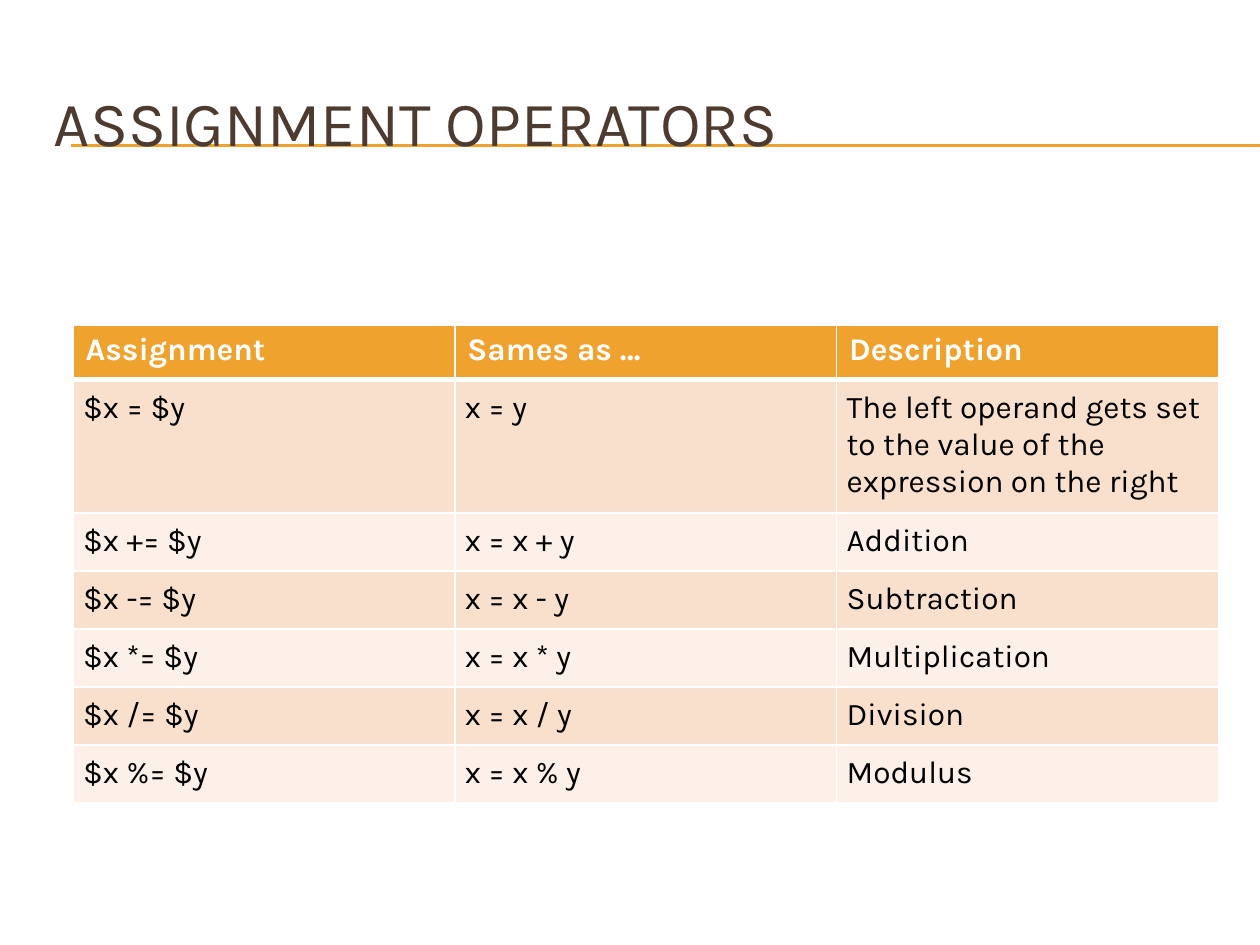
import pptx
import pptx.dml.color
import pptx.enum.shapes
import pptx.enum.text
import pptx.oxml
import pptx.oxml.ns
import pptx.util
from pptx.util import Inches

ORANGE, BROWN, WHITE, BLACK = "F0A22E", "4E3B30", "FFFFFF", "000000"
BANDS = ("F9E0CD", "FCF0E8")

HEADINGS = ("Assignment", "Sames as …", "Description")
OPERATORS = (
    ("$x = $y", "x = y",
     "The left operand gets set to the value of the expression on the right"),
    ("$x += $y", "x = x + y", "Addition"),
    ("$x -= $y", "x = x - y", "Subtraction"),
    ("$x *= $y", "x = x * y", "Multiplication"),
    ("$x /= $y", "x = x / y", "Division"),
    ("$x %= $y", "x = x % y", "Modulus"),
)
ROW_HEIGHTS = (0.43, 1.05) + (0.46,) * 5


def color(value):
    return pptx.dml.color.RGBColor.from_string(value)


def set_attributes(target, values):
    for name, value in values.items():
        setattr(target, name, value)


class SlideBuilder:
    font_name = "Karla"

    def __init__(self, slide):
        self.slide = slide

    def add_text(self, text_frame, text, size, text_color, bold=False):
        run = text_frame.paragraphs[0].add_run()
        run.text = text
        set_attributes(run.font, {"name": self.font_name, "bold": bold,
                                  "size": pptx.util.Pt(size)})
        run.font.color.rgb = color(text_color)

    def line(self, left, right, y, line_color, width):
        connector = self.slide.shapes.add_connector(
            pptx.enum.shapes.MSO_CONNECTOR.STRAIGHT,
            Inches(left), Inches(y), Inches(right), Inches(y))
        connector.line.color.rgb = color(line_color)
        connector.line.width = pptx.util.Pt(width)
        properties = connector._element.spPr
        properties.append(pptx.oxml.parse_xml(
            f"<a:effectLst {pptx.oxml.ns.nsdecls('a')}/>"))

    def title(self, text, left, top, width, height):
        box = self.slide.shapes.add_textbox(
            Inches(left), Inches(top), Inches(width), Inches(height))
        set_attributes(box.text_frame, {
            "word_wrap": True,
            "vertical_anchor": pptx.enum.text.MSO_ANCHOR.MIDDLE})
        self.add_text(box.text_frame, text, 36, BROWN)

    def borders(self, cell, widths):
        properties = cell._tc.get_or_add_tcPr()
        for index, (side, width) in enumerate(widths.items()):
            properties.insert(index, pptx.oxml.parse_xml(
                f"<a:ln{side} {pptx.oxml.ns.nsdecls('a')} w='{pptx.util.Pt(width)}'>"
                f"<a:solidFill><a:srgbClr val='{WHITE}'/></a:solidFill></a:ln{side}>"))

    def cell(self, cell, text, fill, text_color, bold, margins, widths):
        cell.fill.solid()
        cell.fill.fore_color.rgb = color(fill)
        across, down = (Inches(margin) for margin in margins)
        set_attributes(cell, {"margin_left": across, "margin_right": across,
                              "margin_top": down, "margin_bottom": down})
        self.add_text(cell.text_frame, text, 18, text_color, bold)
        self.borders(cell, widths)

    def table(self, headings, rows, left, top, column_width, heights):
        table = self.slide.shapes.add_table(
            len(rows) + 1, len(headings), Inches(left), Inches(top),
            Inches(column_width * len(headings)), Inches(sum(heights))).table
        for column in table.columns:
            column.width = Inches(column_width)
        for index, texts in enumerate((headings, *rows)):
            table.rows[index].height = Inches(heights[index])
            header = index == 0
            # The rule under the header is shared by the first two rows
            widths = {"L": 1, "R": 1, "T": 3 if index == 1 else 1,
                      "B": 3 if header else 1}
            fill = ORANGE if header else BANDS[(index - 1) % 2]
            text_color = WHITE if header else BLACK
            margins = (0.1, 0.05) if header else (0.08, 0.08)
            for column, text in enumerate(texts):
                self.cell(table.cell(index, column), text, fill, text_color,
                          header, margins, widths)


def main():
    presentation = pptx.Presentation()
    set_attributes(presentation, {"slide_width": Inches(10),
                                  "slide_height": Inches(7.5)})
    builder = SlideBuilder(
        presentation.slides.add_slide(presentation.slide_layouts[6]))

    # Double rule behind the title
    for y in (1.15, 1.16):
        builder.line(0.56, 10, y, ORANGE, 0.75)

    # Title
    builder.title("ASSIGNMENT OPERATORS", 0.33, 0.5, 9.5, 0.92)

    # Operator table
    builder.table(HEADINGS, OPERATORS, 0.58, 2.58, 3.03, ROW_HEIGHTS)

    presentation.save("out.pptx")


if __name__ == "__main__":
    main()
